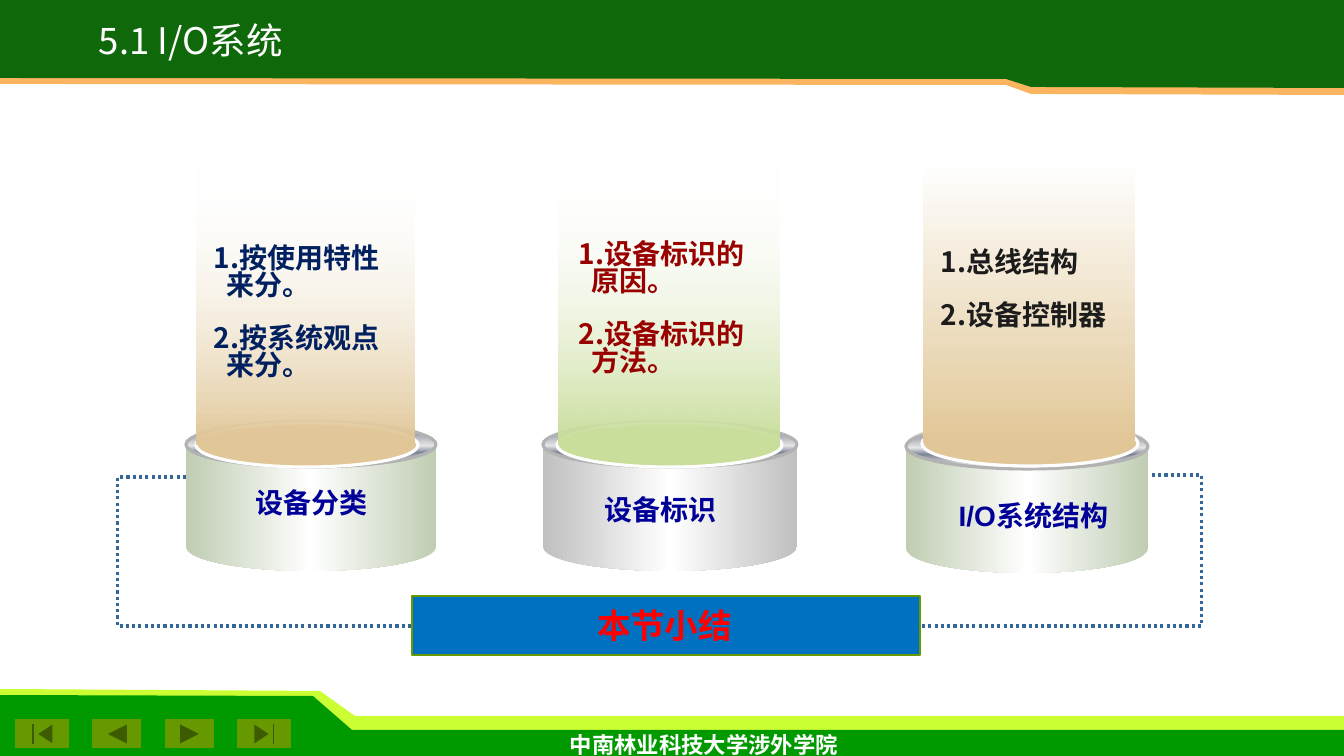
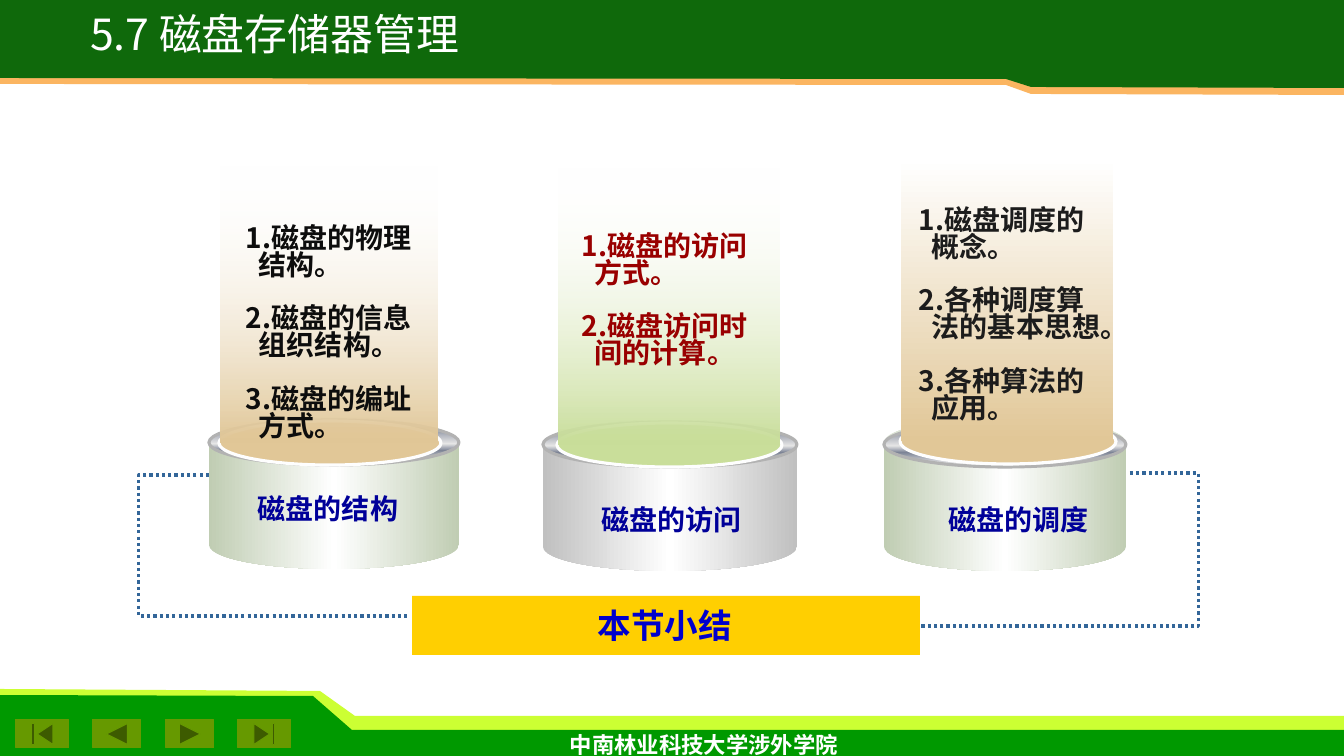
from dataclasses import dataclass

from lxml import etree
from pptx import Presentation
from pptx.dml.color import RGBColor
from pptx.enum.dml import MSO_LINE
from pptx.enum.shapes import MSO_CONNECTOR, MSO_SHAPE
from pptx.enum.text import PP_ALIGN
from pptx.oxml.ns import qn
from pptx.util import Pt

SCALE = 914400 / 100.8  # EMU per px
RECT, OVAL, CAN = MSO_SHAPE.RECTANGLE, MSO_SHAPE.OVAL, MSO_SHAPE.CAN
BEGINNING, END = MSO_SHAPE.ACTION_BUTTON_BEGINNING, MSO_SHAPE.ACTION_BUTTON_END
BACK = MSO_SHAPE.ACTION_BUTTON_BACK_OR_PREVIOUS
FORWARD = MSO_SHAPE.ACTION_BUTTON_FORWARD_OR_NEXT
ELBOW, DOTTED, CENTER = MSO_CONNECTOR.ELBOW, MSO_LINE.ROUND_DOT, PP_ALIGN.CENTER


@dataclass(frozen=True)
class Theme:
    header: str = "0F690B"
    header_edge: str = "FBB561"
    footer: str = "009900"
    footer_edge: str = "CCFF33"
    button: str = "669900"
    dots: str = "336699"
    rim_line: str = "B2B2B2"
    disc_line: str = "FEFEFE"
    label: str = "000099"
    white: str = "FFFFFF"
    rim: tuple = ((0, "E6E6E6"), (15, "7D8496"), (53, "E6E6E6"),
                  (68, "7D8496"), (93, "E6E6E6"), (100, "FFFFFF"))
    body_font: str = "Arial"
    title_font: str = "Noto Sans CJK SC"
    footer_font: str = "Karla"
    body_size: int = 20
    banner_size: int = 24
    footer_size: int = 16
    line_spacing: float = 0.8
    item_gap: int = 19


@dataclass(frozen=True)
class Pillar:
    """Size and colours of a can with a beam of light above it."""
    w: int
    h: int
    rim_y: int
    disc: tuple
    beam_h: int
    side: str
    tint: str
    beam_alpha: int


T = Theme()
PILLARS = (
    Pillar(250, 151, 2, (10, 3, 222, 44), 278, "C0CDB3", "E1C797", 0),
    Pillar(254, 151, 2, (14, 3, 225, 44), 278, "C0C0C0", "C9DE9A", 0),
    Pillar(242, 153, 4, (16, 1, 216, 45), 282, "C0CDB3", "E1C797", 100),
)


def px(*lengths):
    return [round(n * SCALE) for n in lengths]


def rgb(color):
    return RGBColor.from_string(color)


def sub(parent, tag, **attrs):
    el = etree.SubElement(parent, qn(tag))
    for name, value in attrs.items():
        el.set(name, str(value))
    return el


def set_gradient(sp, stops, angle):
    """Fill with stops of (position, colour) or (position, colour, alpha)."""
    sp.fill.gradient()
    grad = sp.fill._xPr.find(qn("a:gradFill"))
    for child in list(grad):
        grad.remove(child)
    stop_list = sub(grad, "a:gsLst")
    for pos, color, *alpha in stops:
        stop = sub(stop_list, "a:gs", pos=pos * 1000)
        clr = sub(stop, "a:srgbClr", val=color)
        if alpha:
            sub(clr, "a:alpha", val=alpha[0] * 1000)
    sub(grad, "a:lin", ang=angle * 60000, scaled=0)


def finish(sp, fill, line=None, width=0.75, angle=90):
    sp.shadow.inherit = False
    if isinstance(fill, str):
        sp.fill.solid()
        sp.fill.fore_color.rgb = rgb(fill)
    else:
        set_gradient(sp, fill, angle)
    if line:
        sp.line.color.rgb = rgb(line)
        sp.line.width = Pt(width)
    else:
        sp.line.fill.background()


def shape(s, kind, box, fill, **look):
    sp = s.shapes.add_shape(kind, *px(*box))
    finish(sp, fill, **look)
    return sp


def outline(s, points, fill):
    builder = s.shapes.build_freeform(*points[0], scale=SCALE)
    builder.add_line_segments(points[1:], close=True)
    finish(builder.convert_to_shape(), fill)


def add_run(p, text, size, color, font, bold=True):
    r = p.add_run()
    r.text = text
    r.font.size, r.font.bold, r.font.name = Pt(size), bold, font
    r.font.color.rgb = rgb(color)


def text_line(s, box, text, size, color, font=T.body_font, bold=True,
              wrap=True, align=CENTER, spacing=None):
    tf = s.shapes.add_textbox(*px(*box)).text_frame
    tf.word_wrap = wrap
    p = tf.paragraphs[0]
    p.alignment, p.line_spacing = align, spacing
    add_run(p, text, size, color, font, bold)


def numbered_list(s, box, items, color):
    tf = s.shapes.add_textbox(*px(*box)).text_frame
    tf.word_wrap = True
    indent, = px(13)
    for i, item in enumerate(items):
        p = tf.paragraphs[0] if i == 0 else tf.add_paragraph()
        p.line_spacing = T.line_spacing
        if i:
            p.space_before = Pt(T.item_gap)
        pPr = p._p.get_or_add_pPr()
        pPr.set("marL", str(indent))
        pPr.set("indent", str(-indent))
        sub(pPr, "a:buFont", typeface=T.title_font)
        sub(pPr, "a:buAutoNum", type="arabicPeriod")
        add_run(p, item, T.body_size, color, T.body_font)


def frame(s, title, box, size):
    """Header and footer bands, navigation buttons and the slide title."""
    outline(s, [(0, 689), (320, 691), (355, 716), (1344, 716), (1344, 746),
                (0, 746)], T.footer_edge)
    outline(s, [(0, 695), (313, 696), (352, 730), (1344, 730), (1344, 756),
                (0, 756)], T.footer)
    for kind, x, w in ((BACK, 93, 48), (FORWARD, 166, 48),
                       (BEGINNING, 16, 53), (END, 238, 53)):
        shape(s, kind, (x, 720, w, 28), T.button, line=T.button)
    outline(s, [(0, 0), (1344, 0), (1344, 95), (1031, 94), (1006, 85),
                (0, 84)], T.header_edge)
    outline(s, [(0, 0), (1344, 0), (1344, 88), (1031, 87), (1006, 79),
                (0, 78)], T.header)
    text_line(s, (560, 726, 294, 37), "中南林业科技大学涉外学院",
              T.footer_size, T.white, T.footer_font, wrap=False, align=None)
    text_line(s, box, title, size, T.white, T.title_font, bold=False,
              wrap=False, spacing=T.line_spacing)


def elbow(s, start, end, turn):
    """Dotted connector that leaves sideways by turn, a percentage of its width."""
    cx = s.shapes.add_connector(ELBOW, *px(*start, *end))
    cx.line.color.rgb = rgb(T.dots)
    cx.line.width = Pt(2.25)
    cx.line.dash_style = DOTTED
    sub(cx._element.spPr, "a:effectLst")
    geom = cx._element.spPr.find(qn("a:prstGeom"))
    guides = geom.find(qn("a:avLst"))
    if guides is None:
        guides = sub(geom, "a:avLst")
    sub(guides, "a:gd", name="adj1", fmla=f"val {round(-turn * 1000)}")


def banner(s, fill, color, line=None):
    shape(s, RECT, (412, 596, 508, 59), fill, line=line, width=1.5)
    text_line(s, (474, 600, 382, 50), "本节小结", T.banner_size, color)


def pillar(s, style, x, y, items, items_box, color, label, label_box):
    """Can at x, y; the boxes of its texts are relative to that corner."""
    def at(dx, dy, w, h):
        return x + dx, y + dy, w, h

    can = shape(s, CAN, at(0, 0, style.w, style.h),
                ((0, style.side), (50, T.white), (100, style.side)), angle=0)
    can.adjustments[0] = 0.32
    shape(s, OVAL, at(0, style.rim_y, style.w, 45), T.rim,
          line=T.rim_line, width=2.25)
    shape(s, OVAL, at(*style.disc), style.tint, line=T.disc_line, width=2.25)
    dx, dy, w, h = style.disc
    shape(s, RECT, at(dx + 1, dy + h // 2 - style.beam_h, w - 4, style.beam_h),
          ((0, T.white, style.beam_alpha), (100, style.tint)))
    numbered_list(s, at(*items_box), items, color)
    text_line(s, at(*label_box), label, T.body_size, T.label)


def summary_slide(prs, title, banner_look, elbows, pillars):
    s = prs.slides.add_slide(prs.slide_layouts[6])
    frame(s, *title)
    for ends in elbows:
        elbow(s, *ends)
    banner(s, *banner_look)
    for style, content in zip(PILLARS, pillars):
        pillar(s, style, *content)


def main():
    prs = Presentation()
    prs.slide_width, prs.slide_height = px(1344, 756)
    summary_slide(
        prs, ("5.1 I/O系统", (60, 21, 262, 46), 26.1),
        ("0070C0", "FF0000", T.button),
        (((186, 477), (412, 626), 30.3), ((1152, 475), (920, 626), 21.3)),
        ((186, 420, ("按使用特性来分。", "按系统观点来分。"),
          (18, -178, 207, 200), "002060", "设备分类", (11, 61, 230, 44)),
         (543, 420, ("设备标识的原因。", "设备标识的方法。"),
          (26, -182, 212, 173), "990000", "设备标识", (-33, 68, 301, 44)),
         (906, 420, ("总线结构", "设备控制器"),
          (25, -174, 203, 119), "1C1C1C", "I/O系统结构", (-13, 74, 281, 44))))
    summary_slide(
        prs, ("5.7 磁盘存储器管理", (52, 13, 445, 55), 30.6),
        ("FFCF01", "0000CC"),
        (((209, 475), (410, 616), 34.9), ((1130, 473), (920, 626), 32.6)),
        ((209, 418, ("磁盘的物理结构。", "磁盘的信息组织结构。", "磁盘的编址方式。"),
          (27, -196, 207, 281), "0D0D0D", "磁盘的结构", (-4, 69, 246, 44)),
         (543, 420, ("磁盘的访问方式。", "磁盘访问时间的计算。"),
          (29, -190, 212, 173), "990000", "磁盘的访问", (-22, 78, 301, 44)),
         (884, 418, ("磁盘调度的概念。", "各种调度算法的基本思想。", "各种算法的应用。"),
          (25, -214, 203, 227), "1C1C1C", "磁盘的调度", (-6, 80, 281, 44))))
    prs.save("out.pptx")


if __name__ == "__main__":
    main()
